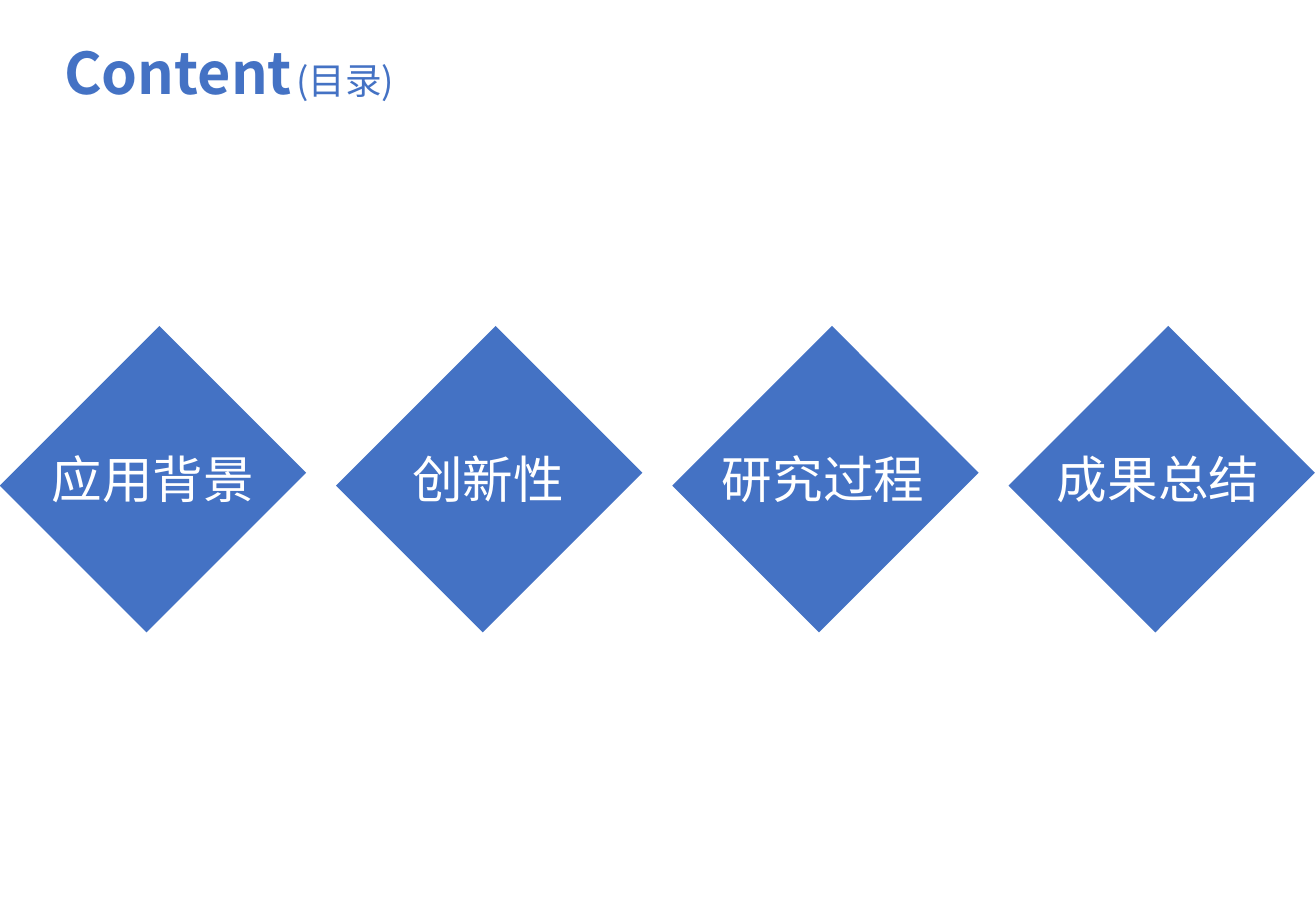
import pptx
import pptx.util
import pptx.dml.color
import pptx.enum.shapes
import pptx.enum.text
import pptx.oxml.ns
from lxml import etree

Inches, Pt = pptx.util.Inches, pptx.util.Pt

FONT = "Noto Sans CJK SC"
COLORS = {"blue": "4472C4", "white": "FFFFFF"}
TITLE = [("Content", 34.1, True), (" ", 10.8, True), ("(目录)", 21.7, False)]
SECTIONS = ["应用背景", "创新性", "研究过程", "成果总结"]

DIAMOND = (0.33, 3.09, 1.86, 1.71)
DIAMOND_PITCH = 2.77
LABEL = (0.24, 3.64, 2.04, 0.6)
LABEL_PITCH = 2.76


def rgb(name):
    return pptx.dml.color.RGBColor.from_string(COLORS[name])


def add_run(p, text, size, color, bold=False):
    """Add a run that uses FONT for both Latin and East Asian text."""
    r = p.add_run()
    r.text = text
    r.font.name = FONT
    r.font.size = Pt(size)
    r.font.bold = bold
    r.font.color.rgb = rgb(color)
    latin = r.font._element.find(pptx.oxml.ns.qn("a:latin"))
    ea = etree.Element(pptx.oxml.ns.qn("a:ea"), typeface=FONT)
    latin.addnext(ea)


def add_text_box(slide, left, top, width, height):
    box = slide.shapes.add_textbox(*map(Inches, (left, top, width, height)))
    box.text_frame.word_wrap = True
    return box.text_frame


def add_title(slide):
    p = add_text_box(slide, 0.43, 0.32, 8.7, 0.71).paragraphs[0]
    p.line_spacing = 0.9
    for text, size, bold in TITLE:
        add_run(p, text, size, "blue", bold)


def add_section(slide, i, name):
    left, top, width, height = DIAMOND
    sp = slide.shapes.add_shape(
        pptx.enum.shapes.MSO_SHAPE.RECTANGLE,
        *map(Inches, (left + i * DIAMOND_PITCH, top, width, height)))
    sp.rotation = 315
    sp.shadow.inherit = False
    sp.fill.solid()
    sp.fill.fore_color.rgb = rgb("blue")
    sp.line.fill.background()

    left, top, width, height = LABEL
    tf = add_text_box(slide, left + i * LABEL_PITCH, top, width, height)
    tf.margin_top = tf.margin_bottom = 0
    tf.vertical_anchor = pptx.enum.text.MSO_ANCHOR.MIDDLE
    p = tf.paragraphs[0]
    p.alignment = pptx.enum.text.PP_ALIGN.CENTER
    add_run(p, name, 30, "white")


def main():
    prs = pptx.Presentation()
    prs.slide_width, prs.slide_height = Inches(10.84), Inches(7.5)
    slide = prs.slides.add_slide(prs.slide_layouts[6])
    add_title(slide)
    for i, name in enumerate(SECTIONS):
        add_section(slide, i, name)
    prs.save("out.pptx")


if __name__ == "__main__":
    main()
